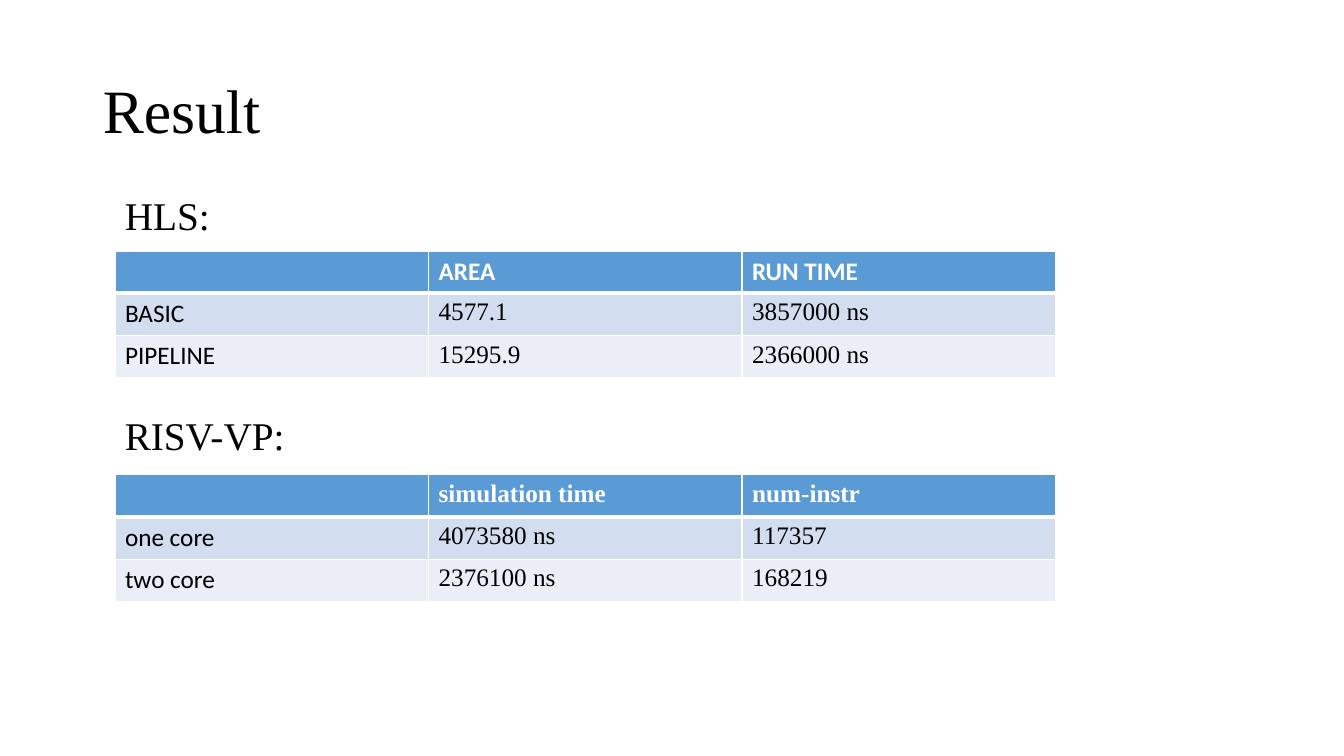
from lxml.etree import SubElement
from pptx import Presentation
from pptx.dml.color import RGBColor
from pptx.enum.text import MSO_ANCHOR, MSO_AUTO_SIZE, PP_ALIGN
from pptx.oxml.ns import qn
from pptx.util import Inches, Pt

SERIF, SANS = "Times New Roman", "Calibri"
BLACK, WHITE = "000000", "FFFFFF"
ROW_FILLS = ["5B9BD5", "D2DEEF", "EAEFF7"]
LEFT, COLUMN, ROW = 1.14, 3.11, 0.42


def write(frame, text, color, **formats):
    para = frame.paragraphs[0]
    para.alignment = PP_ALIGN.LEFT
    span = para.add_run()
    span.text = text
    for name, value in formats.items():
        setattr(span.font, name, value)
    span.font.color.rgb = RGBColor.from_string(color)
    return para


def add_borders(cell, widths):
    properties = cell._tc.get_or_add_tcPr()
    for side, width in widths.items():
        line = SubElement(properties, qn(f"a:ln{side}"), w=str(Pt(width)))
        SubElement(SubElement(line, qn("a:solidFill")), qn("a:srgbClr"), val=WHITE)


deck = Presentation()
deck.slide_width, deck.slide_height = Inches(13.33), Inches(7.5)
page = deck.slides.add_slide(deck.slide_layouts[5])

title = page.shapes.title
title.left, title.top = Inches(0.92), Inches(0.4)
title.width, title.height = Inches(11.5), Inches(1.45)
title.text_frame.auto_size = MSO_AUTO_SIZE.NONE
title.text_frame.vertical_anchor = MSO_ANCHOR.MIDDLE
write(title.text_frame, "Result", BLACK, name=SERIF, size=Pt(44)).line_spacing = 0.9

sections = [
    ("HLS:", 1.85, 1.23, 2.49, SANS, [
        ["", "AREA", "RUN TIME"],
        ["BASIC", "4577.1", "3857000 ns"],
        ["PIPELINE", "15295.9", "2366000 ns"],
    ]),
    ("RISV-VP:", 4.03, 1.86, 4.71, SERIF, [
        ["", "simulation time", "num-instr"],
        ["one core", "4073580 ns", "117357"],
        ["two core", "2376100 ns", "168219"],
    ]),
]

for heading, heading_top, heading_width, table_top, header_font, rows in sections:
    frame = page.shapes.add_table(
        len(rows), len(rows[0]), Inches(LEFT), Inches(table_top),
        Inches(COLUMN * len(rows[0])), Inches(ROW * len(rows)))
    for row_index, values in enumerate(rows):
        is_header = row_index == 0
        for column_index, value in enumerate(values):
            cell = frame.table.cell(row_index, column_index)
            add_borders(cell, {"L": 1, "R": 1, "T": 3 if row_index == 1 else 1,
                               "B": 3 if is_header else 1})
            cell.fill.solid()
            cell.fill.fore_color.rgb = RGBColor.from_string(ROW_FILLS[row_index])
            if value:
                body_font = SERIF if column_index else SANS
                write(cell.text_frame, value, WHITE if is_header else BLACK,
                      name=header_font if is_header else body_font,
                      size=Pt(18), bold=is_header)

    box = page.shapes.add_textbox(
        Inches(LEFT), Inches(heading_top), Inches(heading_width), Inches(0.57))
    box.text_frame.word_wrap = True
    box.text_frame.auto_size = MSO_AUTO_SIZE.SHAPE_TO_FIT_TEXT
    write(box.text_frame, heading, BLACK, name=SERIF, size=Pt(28))

deck.save("out.pptx")
